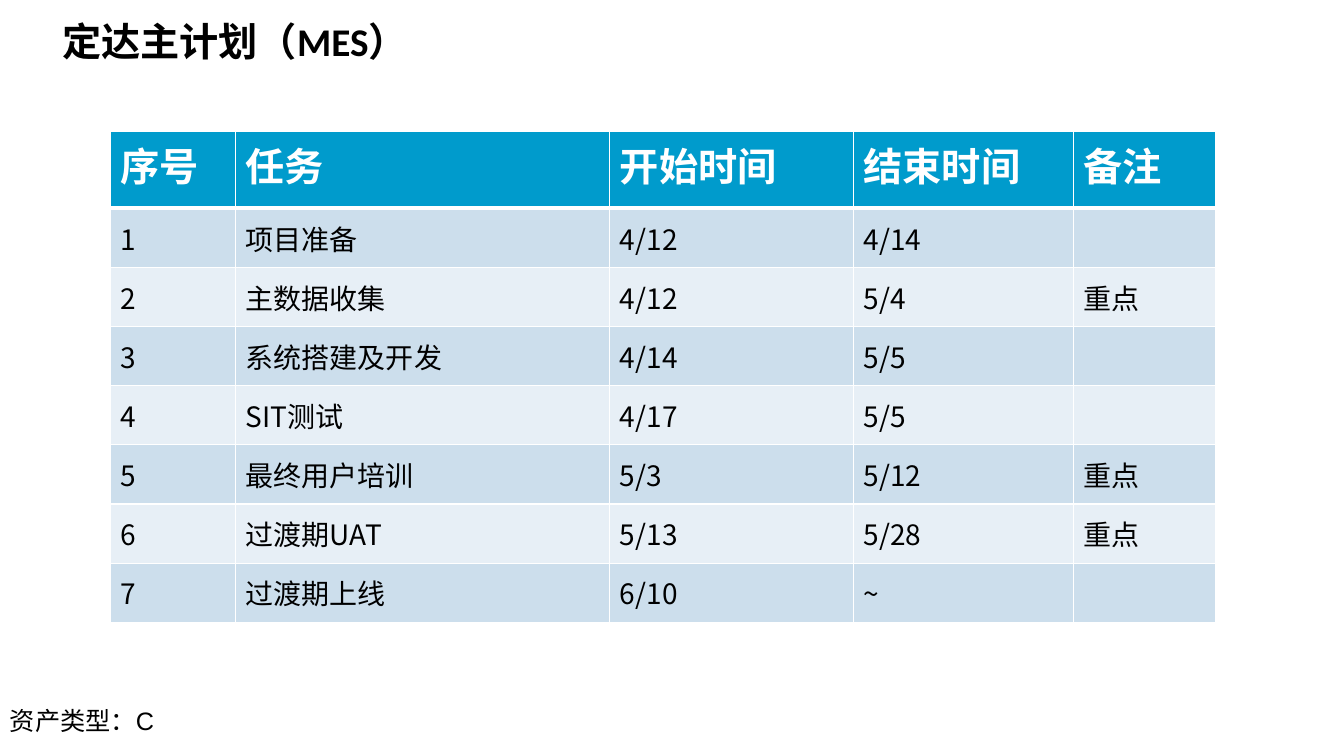
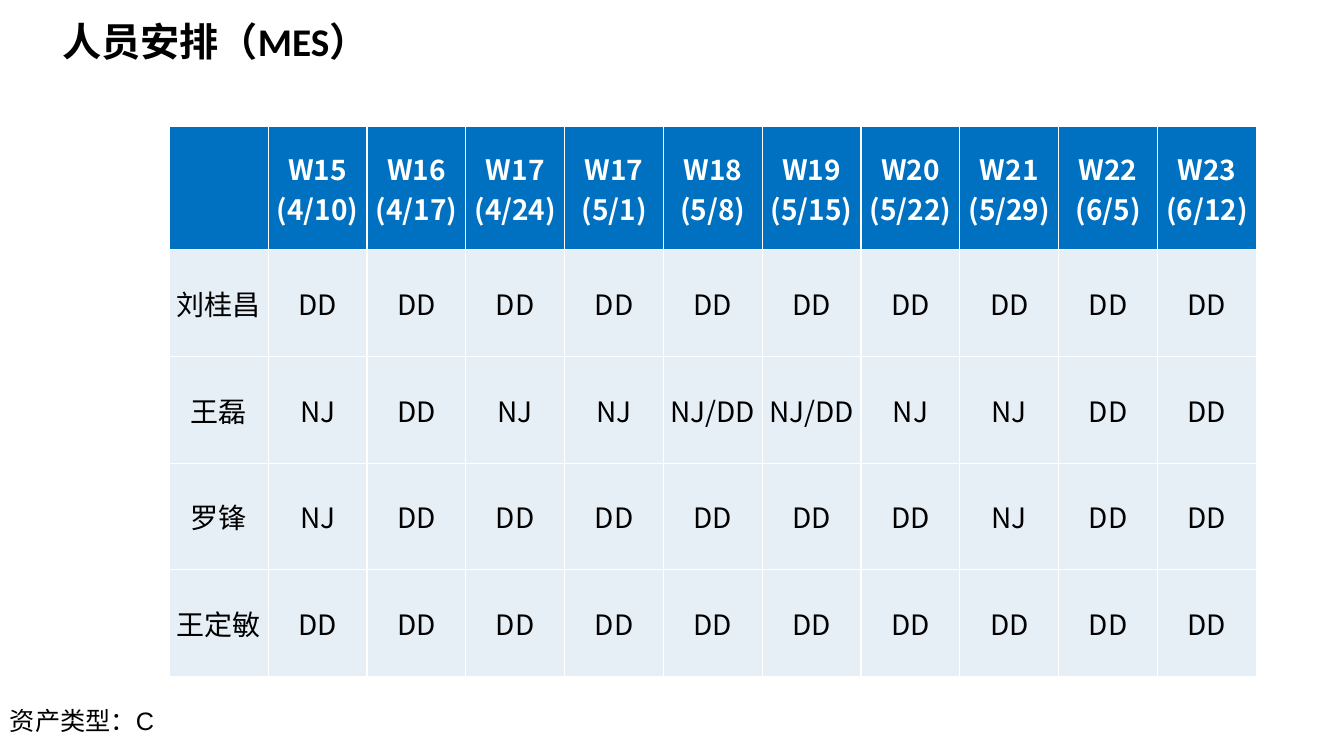
from lxml import etree
from pptx import Presentation
from pptx import util as u
from pptx.dml.color import RGBColor
from pptx.enum import text
from pptx.oxml import ns

BLACK = "000000"
WHITE = "FFFFFF"
PALE = "E7EFF6"
MID = "CCDEEC"
TABLE_FONT = "Noto Sans CJK SC"


def style(para, name, size, colour, bold=False):
    font = para.font
    font.name, font.size, font.bold = name, u.Pt(size), bold
    font.color.rgb = RGBColor.from_string(colour)
    props = para._p.pPr.find(ns.qn("a:defRPr"))
    etree.SubElement(props, ns.qn("a:ea")).set("typeface", TABLE_FONT)


def add_border(cell, index, edge, width):
    line = etree.Element(ns.qn(f"a:ln{edge}"), w=str(u.Pt(width)))
    fill = etree.SubElement(line, ns.qn("a:solidFill"))
    etree.SubElement(fill, ns.qn("a:srgbClr")).set("val", WHITE)
    cell._tc.get_or_add_tcPr().insert(index, line)


weeks = ["W15\n(4/10)", "W16\n(4/17)", "W17\n(4/24)", "W17\n(5/1)", "W18\n(5/8)",
         "W19\n(5/15)", "W20\n(5/22)", "W21\n(5/29)", "W22\n(6/5)", "W23\n(6/12)"]

plan = {
    "title": "定达主计划（MES）",
    "left": 2.79, "top": 3.3,
    "columns": [3.15, 9.43, 6.14, 5.54, 3.59],
    "head_height": 1.95, "row_height": 1.49,
    "head_fill": "009BCC", "bands": [MID, PALE],
    "head_size": 28, "head_line": 3, "centred": False,
    "rows": [
        ["序号", "任务", "开始时间", "结束时间", "备注"],
        ["1", "项目准备", "4/12", "4/14", ""],
        ["2", "主数据收集", "4/12", "5/4", "重点"],
        ["3", "系统搭建及开发", "4/14", "5/5", ""],
        ["4", "SIT测试", "4/17", "5/5", ""],
        ["5", "最终用户培训", "5/3", "5/12", "重点"],
        ["6", "过渡期UAT", "5/13", "5/28", "重点"],
        ["7", "过渡期上线", "6/10", "~", ""],
    ],
}
staffing = {
    "title": "人员安排（MES）",
    "left": 4.27, "top": 3.19,
    "columns": [2.49] * 11,
    "head_height": 3.1, "row_height": 2.69,
    "head_fill": "0070C0", "bands": [PALE],
    "head_size": 20, "head_line": 1, "centred": True,
    "rows": [
        ["", *weeks],
        ["刘桂昌"] + ["DD"] * 10,
        ["王磊", "NJ", "DD", "NJ", "NJ", "NJ/DD", "NJ/DD", "NJ", "NJ", "DD", "DD"],
        ["罗锋", "NJ"] + ["DD"] * 6 + ["NJ", "DD", "DD"],
        ["王定敏"] + ["DD"] * 10,
    ],
}

deck = Presentation()
deck.slide_width = u.Cm(33.87)
deck.slide_height = u.Cm(19.05)

for content in (plan, staffing):
    page = deck.slides.add_slide(deck.slide_layouts[6])

    labels = [
        (content["title"], (1.32, 0.3, 25.35, 1.45), "Calibri", 28, True),
        ("资产类型：C", (0, 17.65, 7.9, 1.02), "Arial", 18, False),
    ]
    for wording, place, font_name, size, bold in labels:
        box = page.shapes.add_textbox(*map(u.Cm, place))
        box.text_frame.word_wrap = True
        box.text_frame.text = wording
        style(box.text_frame.paragraphs[0], font_name, size, BLACK, bold)

    rows, columns = content["rows"], content["columns"]
    heights = [content["head_height"]] + [content["row_height"]] * (len(rows) - 1)
    table = page.shapes.add_table(
        len(rows), len(columns), u.Cm(content["left"]), u.Cm(content["top"]),
        u.Cm(sum(columns)), u.Cm(sum(heights))).table
    for column, width in zip(table.columns, columns):
        column.width = u.Cm(width)

    for r, values in enumerate(rows):
        table.rows[r].height = u.Cm(heights[r])
        is_head = r == 0
        bands = content["bands"]
        fill = content["head_fill"] if is_head else bands[(r - 1) % len(bands)]
        for c, value in enumerate(values):
            cell = table.cell(r, c)
            cell.text = value
            cell.fill.solid()
            cell.fill.fore_color.rgb = RGBColor.from_string(fill)
            if content["centred"]:
                cell.margin_left = cell.margin_right = 0
                cell.margin_top = cell.margin_bottom = 0
            if content["centred"] or not is_head:
                cell.vertical_anchor = text.MSO_ANCHOR.MIDDLE
            for para in cell.text_frame.paragraphs:
                if content["centred"]:
                    para.alignment = text.PP_ALIGN.CENTER
                style(para, TABLE_FONT, content["head_size"] if is_head else 20,
                      WHITE if is_head else BLACK, is_head)
            for index, edge in enumerate("LRTB"):
                under_head = is_head and edge == "B"
                add_border(cell, index, edge, content["head_line"] if under_head else 1)

deck.save("out.pptx")
